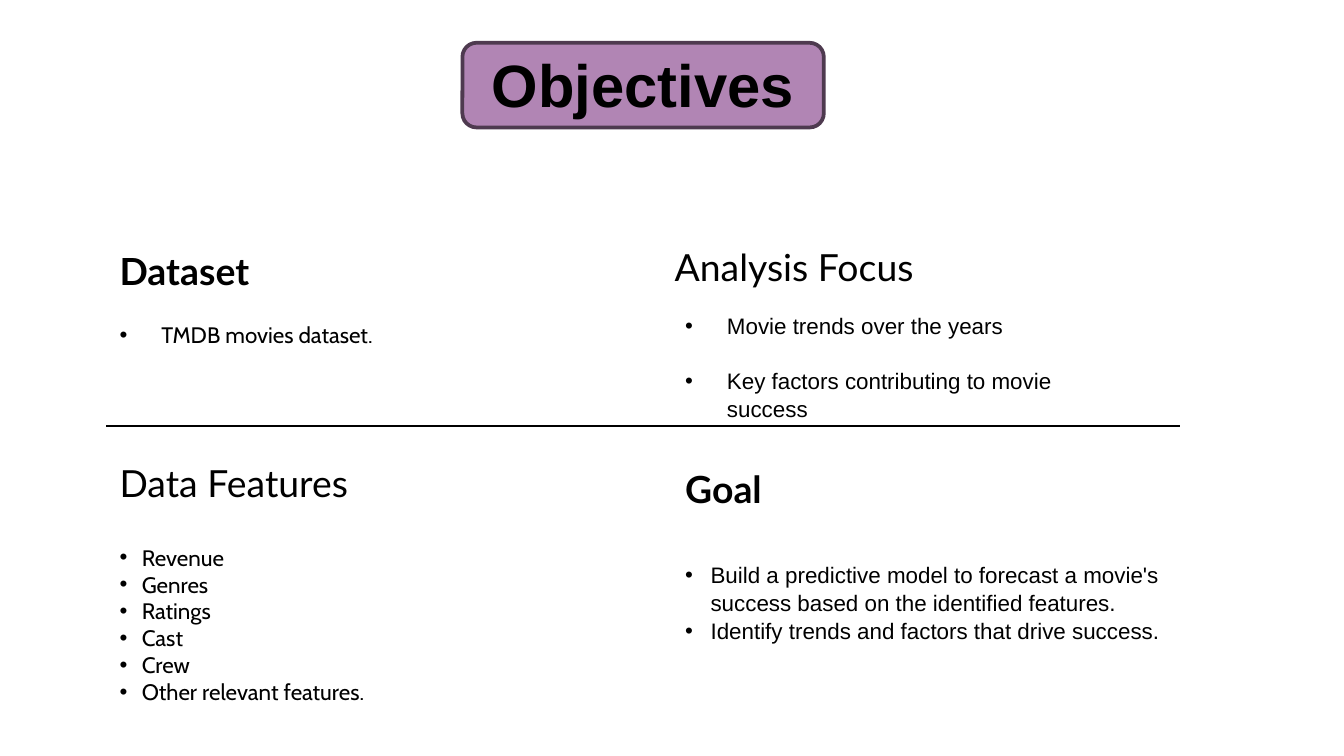
from lxml import etree
from pptx import Presentation
from pptx.dml.color import RGBColor
from pptx.enum.shapes import MSO_CONNECTOR, MSO_SHAPE
from pptx.enum.text import MSO_ANCHOR, PP_ALIGN
from pptx.oxml.ns import qn
from pptx.util import Cm, Pt

BLACK = RGBColor(0x00, 0x00, 0x00)
MAUVE = RGBColor(0xB1, 0x85, 0xB4)
PLUM = RGBColor(0x4E, 0x3A, 0x4F)
ROUND = MSO_SHAPE.ROUNDED_RECTANGLE
LINE = MSO_CONNECTOR.STRAIGHT
TOP, BOTTOM = MSO_ANCHOR.TOP, MSO_ANCHOR.BOTTOM
LEFT, CENTER = PP_ALIGN.LEFT, PP_ALIGN.CENTER

# Left edges of the two columns, in cm
COL1, COL2 = 2.01, 12.7


def add_bullet(para, indent):
    props = para._p.get_or_add_pPr()
    props.set("marL", str(Cm(indent)))
    props.set("indent", str(-Cm(indent)))
    etree.SubElement(props, qn("a:buFont")).set("typeface", "Arial")
    etree.SubElement(props, qn("a:buChar")).set("char", "•")


def add_text(slide, lines, x, y, w, h, font="Arial", size=12, bold=False,
             align=LEFT, anchor=TOP, indent=None, gap=0, pitch=1.0):
    box = slide.shapes.add_textbox(Cm(x), Cm(y), Cm(w), Cm(h))
    frame = box.text_frame
    frame.word_wrap = True
    frame.vertical_anchor = anchor
    frame.margin_left = frame.margin_right = Cm(0.25)
    frame.margin_top = frame.margin_bottom = Cm(0.25)
    for i, line in enumerate(lines):
        para = frame.paragraphs[0] if i == 0 else frame.add_paragraph()
        para.alignment = align
        para.line_spacing = pitch
        if i and gap:
            para.space_before = Pt(gap)
        if indent:
            add_bullet(para, indent)
        run = para.add_run()
        run.text = line
        run.font.name = font
        run.font.size = Pt(size)
        run.font.bold = bold
        run.font.color.rgb = BLACK


def add_head(slide, text, x, y, bold=False):
    add_text(slide, [text], x, y, 8, 1.09, font="Lato", size=20,
             bold=bold, anchor=BOTTOM)


def add_badge(slide, x, y, w, h):
    badge = slide.shapes.add_shape(ROUND, Cm(x), Cm(y), Cm(w), Cm(h))
    badge.shadow.inherit = False
    badge.fill.solid()
    badge.fill.fore_color.rgb = MAUVE
    badge.line.color.rgb = PLUM
    badge.line.width = Pt(2)


def add_rule(slide, left, right, y):
    rule = slide.shapes.add_connector(LINE, Cm(left), Cm(y), Cm(right), Cm(y))
    rule.line.color.rgb = BLACK
    rule.line.width = Pt(0.75)
    etree.SubElement(rule._element.spPr, qn("a:effectLst"))


def main():
    deck = Presentation()
    deck.slide_width, deck.slide_height = Cm(25.4), Cm(14.29)
    slide = deck.slides.add_slide(deck.slide_layouts[6])

    # Title
    add_badge(slide, 8.74, 0.81, 6.83, 1.6)
    add_text(slide, ["Objectives"], 8.94, 0.66, 6.43, 1.6, size=32,
             bold=True, align=CENTER)

    # Headings
    add_head(slide, "Dataset", COL1, 4.7, bold=True)
    add_head(slide, "Analysis Focus", 12.5, 4.62)
    add_head(slide, "Data Features", COL1, 8.71)
    add_head(slide, "Goal", COL2, 8.81, bold=True)

    # Lists
    add_text(slide, ["TMDB movies dataset."], COL1, 5.82, 8, 1.6,
             font="Cabin", indent=0.79)
    add_text(slide, ["Movie trends over the years",
                     "Key factors contributing to movie success"],
             COL2, 5.64, 8, 2.4, indent=0.79, gap=14.3, pitch=1.04)
    add_text(slide, ["Revenue", "Genres", "Ratings", "Cast", "Crew",
                     "Other relevant features."],
             COL1, 10.03, 8, 3.78, font="Cabin", indent=0.42)
    add_text(slide, ["Build a predictive model to forecast a movie's success "
                     "based on the identified features.",
                     "Identify trends and factors that drive success."],
             COL2, 10.34, 9.6, 2.59, indent=0.48, pitch=1.04)

    # Divider between the rows
    add_rule(slide, COL1, 22.3, 8.05)

    deck.save("out.pptx")


if __name__ == "__main__":
    main()
